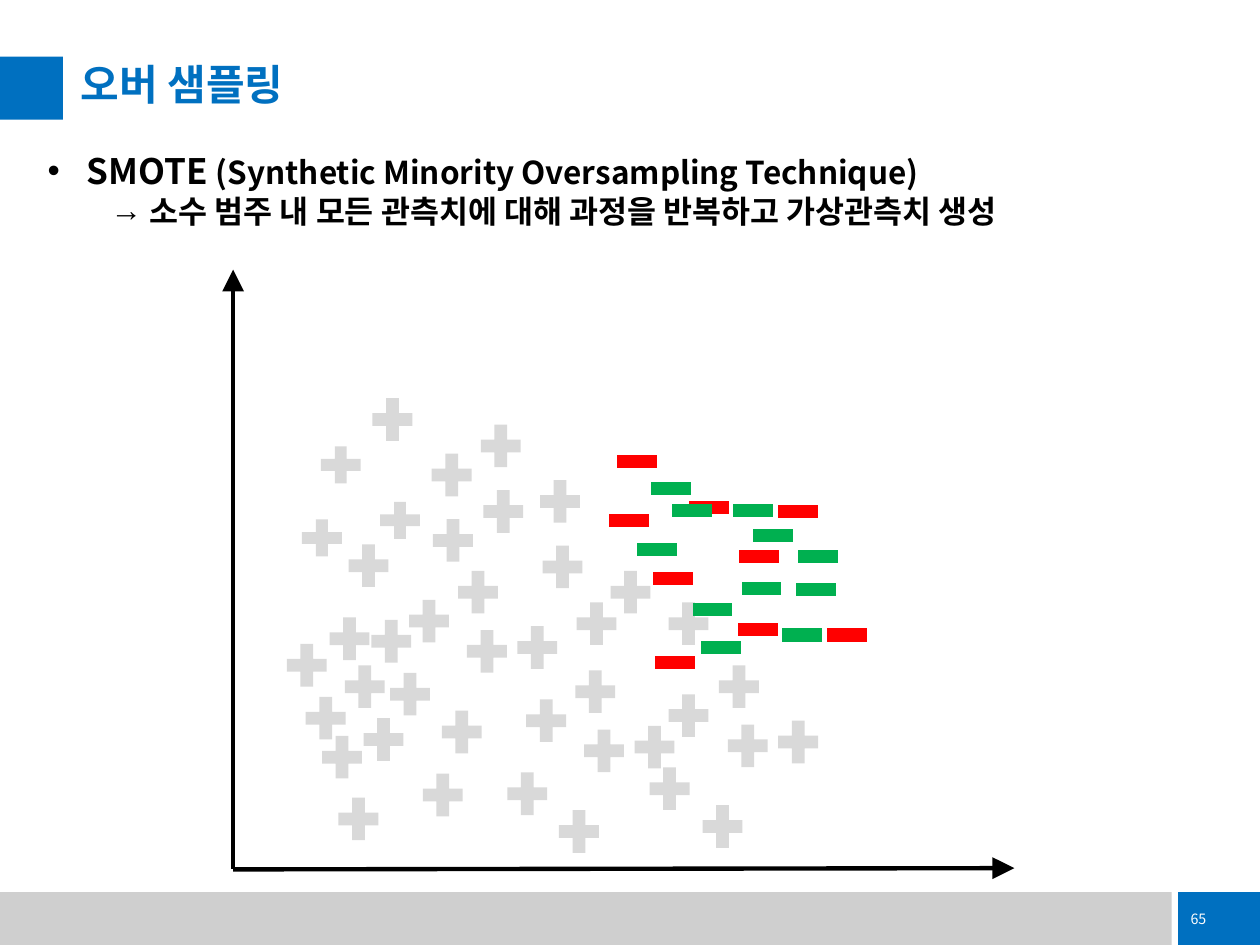
"""Build the oversampling slide with its SMOTE scatter diagram."""
from lxml.etree import SubElement
from pptx import Presentation
from pptx.dml.color import RGBColor
from pptx.enum.shapes import MSO_CONNECTOR, MSO_SHAPE
from pptx.enum.text import MSO_ANCHOR, PP_ALIGN
from pptx.oxml.ns import qn
from pptx.util import Inches, Pt

FONT = "Noto Sans CJK KR"
COLORS = {
    "blue": "0070C0",
    "band": "CFCFCF",
    "majority": "D9D9D9",
    "minority": "FF0000",
    "synthetic": "00B050",
    "black": "000000",
    "white": "FFFFFF",
}


def add_filled_shape(kind, left, top, width, height, color):
    shape = slide.shapes.add_shape(
        kind, Inches(left), Inches(top), Inches(width), Inches(height)
    )
    shape.shadow.inherit = False
    shape.fill.solid()
    shape.fill.fore_color.rgb = RGBColor.from_string(COLORS[color])
    shape.line.fill.background()
    return shape


def style_paragraph(para, size, color, bold=True):
    para.font.size = Pt(size)
    para.font.bold = bold
    para.font.name = FONT
    para.font.color.rgb = RGBColor.from_string(COLORS[color])
    defaults = para._p.pPr.find(qn("a:defRPr"))
    SubElement(defaults, qn("a:ea"), typeface=FONT)
    return defaults


deck = Presentation()
deck.slide_width = Inches(10)
deck.slide_height = Inches(7.5)
slide = deck.slides.add_slide(deck.slide_layouts[6])

add_filled_shape(MSO_SHAPE.RECTANGLE, 0, 7.08, 9.3, 0.42, "band")
page_box = add_filled_shape(MSO_SHAPE.RECTANGLE, 9.35, 7.08, 0.65, 0.42, "blue")
add_filled_shape(MSO_SHAPE.RECTANGLE, 0, 0.45, 0.5, 0.5, "blue")

page_frame = page_box.text_frame
page_frame.word_wrap = False
page_frame.vertical_anchor = MSO_ANCHOR.MIDDLE
page_para = page_frame.paragraphs[0]
page_para.text = "65"
page_para.alignment = PP_ALIGN.LEFT
style_paragraph(page_para, 8.1, "white", bold=False)

title_box = slide.shapes.add_textbox(Inches(0.64), Inches(0.51), Inches(9.01), Inches(0.38))
title_frame = title_box.text_frame
title_frame.word_wrap = True
title_frame.vertical_anchor = MSO_ANCHOR.TOP
title_frame.margin_left = title_frame.margin_right = 0
title_frame.margin_top = title_frame.margin_bottom = 0
title_para = title_frame.paragraphs[0]
title_para.text = "오버 샘플링"
title_para.line_spacing = 0.9
style_paragraph(title_para, 24, "blue")

body_box = slide.shapes.add_textbox(Inches(0.28), Inches(1.14), Inches(8.9), Inches(0.74))
body_frame = body_box.text_frame
body_frame.word_wrap = True
body_lines = [
    (0, 0.31, "•", [("SMOTE ", 20), ("(Synthetic Minority Oversampling Technique)", 18)]),
    (1, 0.81, "→", [("소수 범주 내 모든 관측치에 대해 과정을 반복하고 가상관측치 생성", 18)]),
]
for level, indent, bullet, spans in body_lines:
    para = body_frame.add_paragraph() if level else body_frame.paragraphs[0]
    para.level = level
    para.line_spacing = 1.0
    defaults = style_paragraph(para, 18, "black")
    properties = para._p.pPr
    properties.set("marL", str(Inches(indent)))
    properties.set("indent", str(Inches(-0.31)))
    for tag, key, value in (("a:buFont", "typeface", "Arial"), ("a:buChar", "char", bullet)):
        mark = SubElement(properties, qn(tag))
        mark.set(key, value)
        defaults.addprevious(mark)
    for text, size in spans:
        span = para.add_run()
        span.text = text
        span.font.size = Pt(size)

for tip_x, tip_y in [(1.85, 2.14), (8.05, 6.89)]:
    axis = slide.shapes.add_connector(
        MSO_CONNECTOR.STRAIGHT, Inches(tip_x), Inches(tip_y), Inches(1.85), Inches(6.9)
    )
    axis.line.width = Pt(2.5)
    axis.line.color.rgb = RGBColor.from_string(COLORS["black"])
    outline = axis._element.spPr.find(qn("a:ln"))
    SubElement(outline, qn("a:headEnd"), type="triangle", w="lg", len="lg")
    SubElement(axis._element.spPr, qn("a:effectLst"))

majority_points = [
    (2.9, 3.1), (3.37, 3.54), (3.76, 3.31), (4.23, 3.75), (2.71, 4.26),
    (3.38, 4.06), (3.19, 4.7), (3.78, 3.83), (3.58, 4.47), (4.25, 4.27),
    (4.05, 4.91), (3.65, 4.94), (3.45, 5.58), (2.56, 4.84), (2.37, 5.47),
    (3.04, 5.28), (4.12, 5.49), (4.51, 5.26), (4.98, 5.7), (4.58, 5.73),
    (4.38, 6.37), (3.97, 6.07), (2.83, 5.64), (2.63, 6.27), (3.3, 6.08),
    (2.5, 5.78), (2.22, 5.05), (2.89, 4.86), (2.68, 5.22), (5.25, 5.45),
    (5.65, 5.22), (6.12, 5.66), (5.72, 5.69), (5.52, 6.33), (5.1, 6.03),
    (4.52, 4.72), (4.79, 4.47), (5.25, 4.72),
]
short_majority_points = [(2.49, 3.49), (2.96, 3.93), (2.34, 4.07)]
minority_points = [
    (4.78, 3.91), (5.81, 4.2), (5.13, 4.37), (5.14, 5.04), (6.51, 4.82),
    (5.8, 4.78), (6.12, 3.84), (5.41, 3.81), (4.84, 3.44),
]
synthetic_points = [
    (5.11, 3.66), (5, 4.14), (5.44, 4.62), (5.51, 4.92), (6.15, 4.82), (5.83, 4.45),
    (6.28, 4.2), (5.28, 3.83), (6.26, 4.46), (5.76, 3.83), (5.92, 4.03),
]
for kind, height, color, points in [
    (MSO_SHAPE.MATH_PLUS, 0.46, "majority", majority_points),
    (MSO_SHAPE.MATH_PLUS, 0.4, "majority", short_majority_points),
    (MSO_SHAPE.MATH_MINUS, 0.44, "minority", minority_points),
    (MSO_SHAPE.MATH_MINUS, 0.44, "synthetic", synthetic_points),
]:
    for left, top in points:
        add_filled_shape(kind, left, top, 0.43, height, color)

deck.save("out.pptx")
